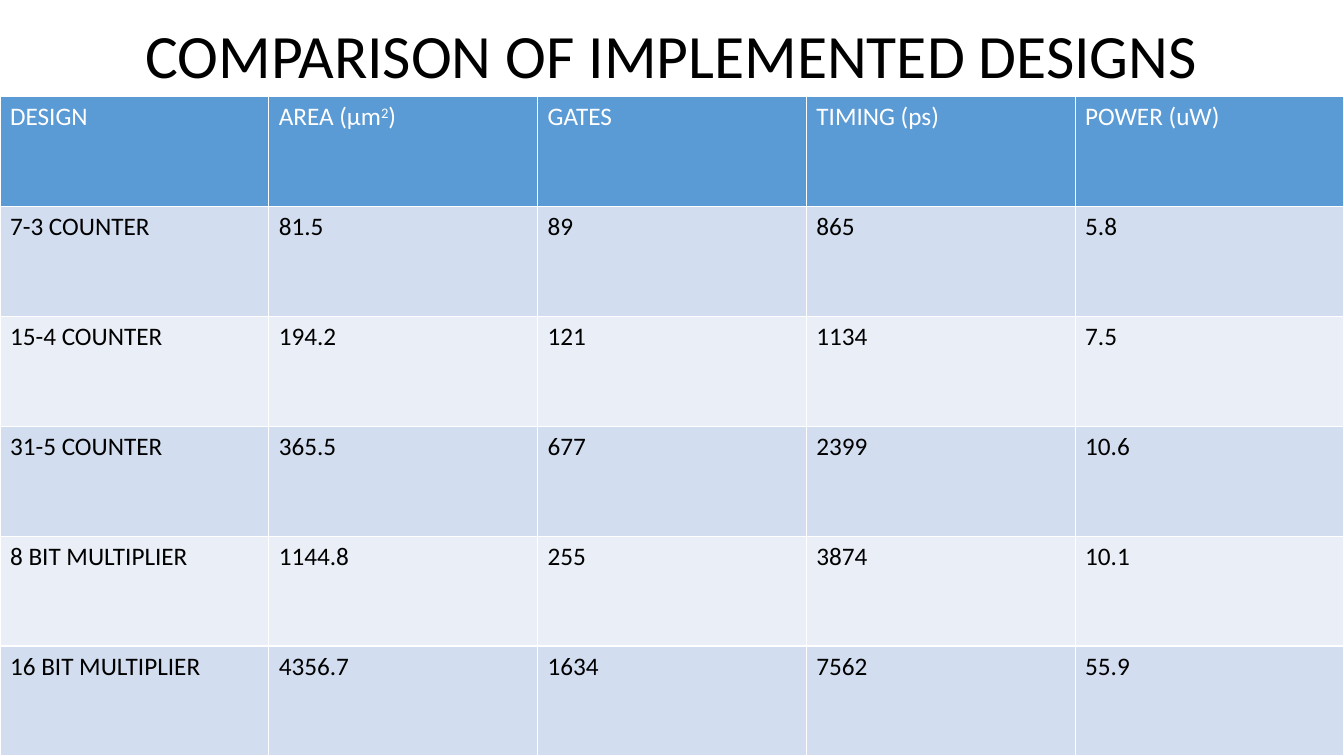
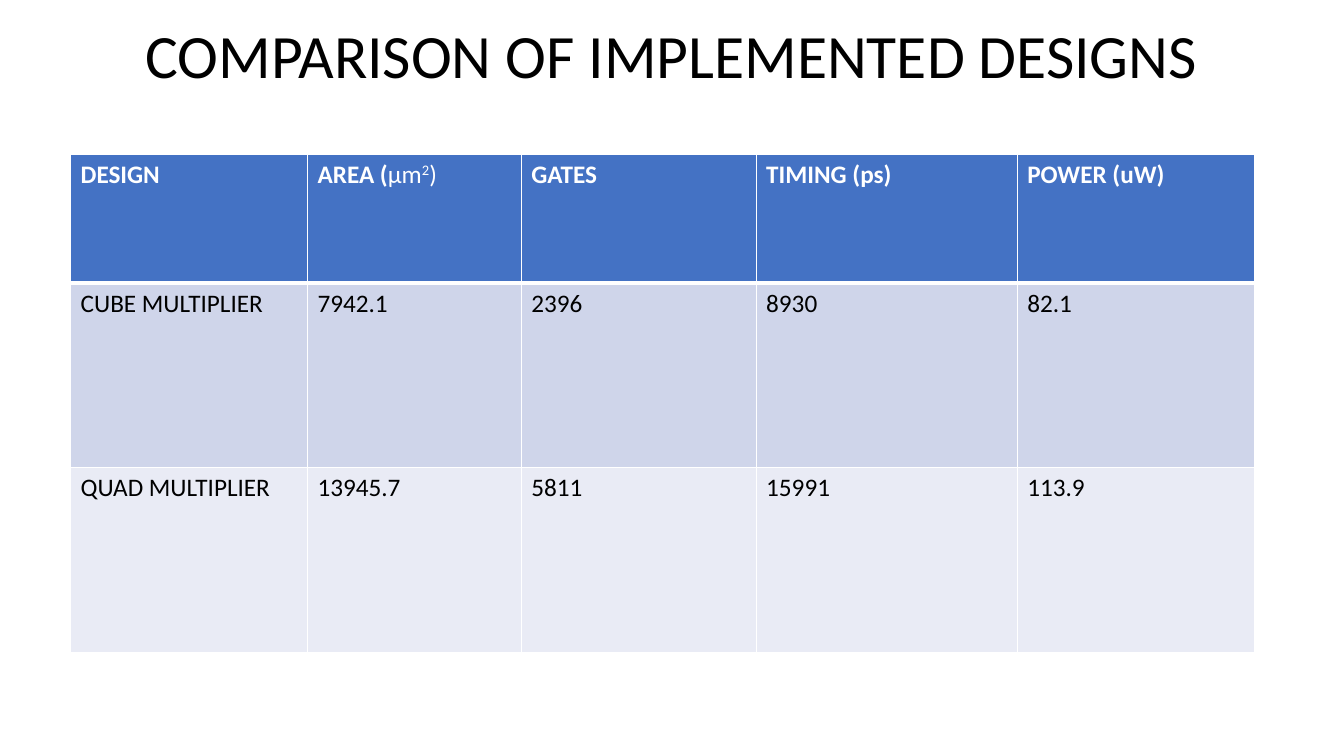
from dataclasses import dataclass

from lxml.etree import SubElement
from pptx import Presentation
from pptx.dml.color import RGBColor as Color
from pptx.enum.text import MSO_ANCHOR as Anchor, PP_ALIGN as Align
from pptx.oxml.ns import qn
from pptx.util import Inches, Pt


@dataclass(frozen=True)
class Theme:
    font: str = "Calibri"
    title_size: int = 44
    cell_size: int = 18
    ink: str = "000000"
    paper: str = "FFFFFF"
    thin: int = 1
    thick: int = 3


THEME = Theme()
WIDTH, HEIGHT = 13.33, 7.5
TITLE_HEIGHT = 0.96
BLANK_LAYOUT = 6

# Content: a heading is a list of (text, style marks); "b" is bold, "^" is superscript
TITLE = "COMPARISON OF IMPLEMENTED DESIGNS"
SLIDES = [
    {
        "headings": [
            [("DESIGN", "")],
            [("AREA (μm", ""), ("2", "^"), (")", "")],
            [("GATES", "")],
            [("TIMING (ps)", "")],
            [("POWER (uW)", "")],
        ],
        "rows": [
            ("7-3 COUNTER", "81.5", "89", "865", "5.8"),
            ("15-4 COUNTER", "194.2", "121", "1134", "7.5"),
            ("31-5 COUNTER", "365.5", "677", "2399", "10.6"),
            ("8 BIT MULTIPLIER", "1144.8", "255", "3874", "10.1"),
            ("16 BIT MULTIPLIER", "4356.7", "1634", "7562", "55.9"),
        ],
        "origin": (0, TITLE_HEIGHT),
        "columns": [WIDTH / 5] * 5,
        "heights": [(HEIGHT - TITLE_HEIGHT) / 6] * 6,
        "head_fill": "5B9BD5",
        "bands": ("D2DEEF", "EAEFF7"),
        "head_rule": THEME.thin,
    },
    {
        "headings": [
            [("DESIGN", "b")],
            [("AREA (", "b"), ("μm", ""), ("2", "^"), (")", "")],
            [("GATES", "b")],
            [("TIMING (ps)", "b")],
            [("POWER (uW)", "b")],
        ],
        "rows": [
            ("CUBE MULTIPLIER", "7942.1", "2396", "8930", "82.1"),
            ("QUAD MULTIPLIER", "13945.7", "5811", "15991", "113.9"),
        ],
        "origin": (0.7, 1.53),
        "columns": [2.35, 2.12, 2.33, 2.59, 2.35],
        "heights": [1.28, 1.83, 1.83],
        "head_fill": "4472C4",
        "bands": ("CFD5EA", "E9EBF5"),
        "head_rule": THEME.thick,
    },
]


def add_span(para, text, size, color, marks=""):
    span = para.add_run()
    span.text = text
    font = span.font
    font.name, font.size, font.bold = THEME.font, Pt(size), "b" in marks
    font.color.rgb = Color.from_string(color)
    if "^" in marks:
        font._element.set("baseline", "30000")


def add_title(page):
    box = page.shapes.add_textbox(0, 0, Inches(WIDTH), Inches(TITLE_HEIGHT))
    frame = box.text_frame
    frame.word_wrap = True
    frame.vertical_anchor = Anchor.BOTTOM
    para = frame.paragraphs[0]
    para.alignment = Align.CENTER
    para.line_spacing = 0.9
    add_span(para, TITLE, THEME.title_size, THEME.ink)


def set_borders(cell, top, bottom):
    properties = cell._tc.get_or_add_tcPr()
    sides = {"L": THEME.thin, "R": THEME.thin, "T": top, "B": bottom}
    for side, points in sides.items():
        line = SubElement(properties, qn(f"a:ln{side}"), w=str(Pt(points)))
        fill = SubElement(line, qn("a:solidFill"))
        SubElement(fill, qn("a:srgbClr"), val=THEME.paper)


def add_design_table(page, content):
    columns, heights = content["columns"], content["heights"]
    frame = (*content["origin"], sum(columns), sum(heights))
    table = page.shapes.add_table(
        len(heights), len(columns), *map(Inches, frame)
    ).table
    for column, width in zip(table.columns, columns):
        column.width = Inches(width)
    for row, height in zip(table.rows, heights):
        row.height = Inches(height)

    # Headings and plain values share one form: a list of marked pieces
    body = [[[(value, "")] for value in row] for row in content["rows"]]
    # Rule above each row, then the one that closes the table
    rules = [THEME.thin, content["head_rule"]] + [THEME.thin] * len(body)
    for r, row in enumerate([content["headings"]] + body):
        fill = content["bands"][(r - 1) % 2] if r else content["head_fill"]
        color = THEME.ink if r else THEME.paper
        for c, pieces in enumerate(row):
            cell = table.cell(r, c)
            set_borders(cell, rules[r], rules[r + 1])
            cell.fill.solid()
            cell.fill.fore_color.rgb = Color.from_string(fill)
            para = cell.text_frame.paragraphs[0]
            for text, marks in pieces:
                add_span(para, text, THEME.cell_size, color, marks)


def main():
    deck = Presentation()
    deck.slide_width, deck.slide_height = Inches(WIDTH), Inches(HEIGHT)
    for content in SLIDES:
        page = deck.slides.add_slide(deck.slide_layouts[BLANK_LAYOUT])
        add_title(page)
        add_design_table(page, content)
    deck.save("out.pptx")


if __name__ == "__main__":
    main()
